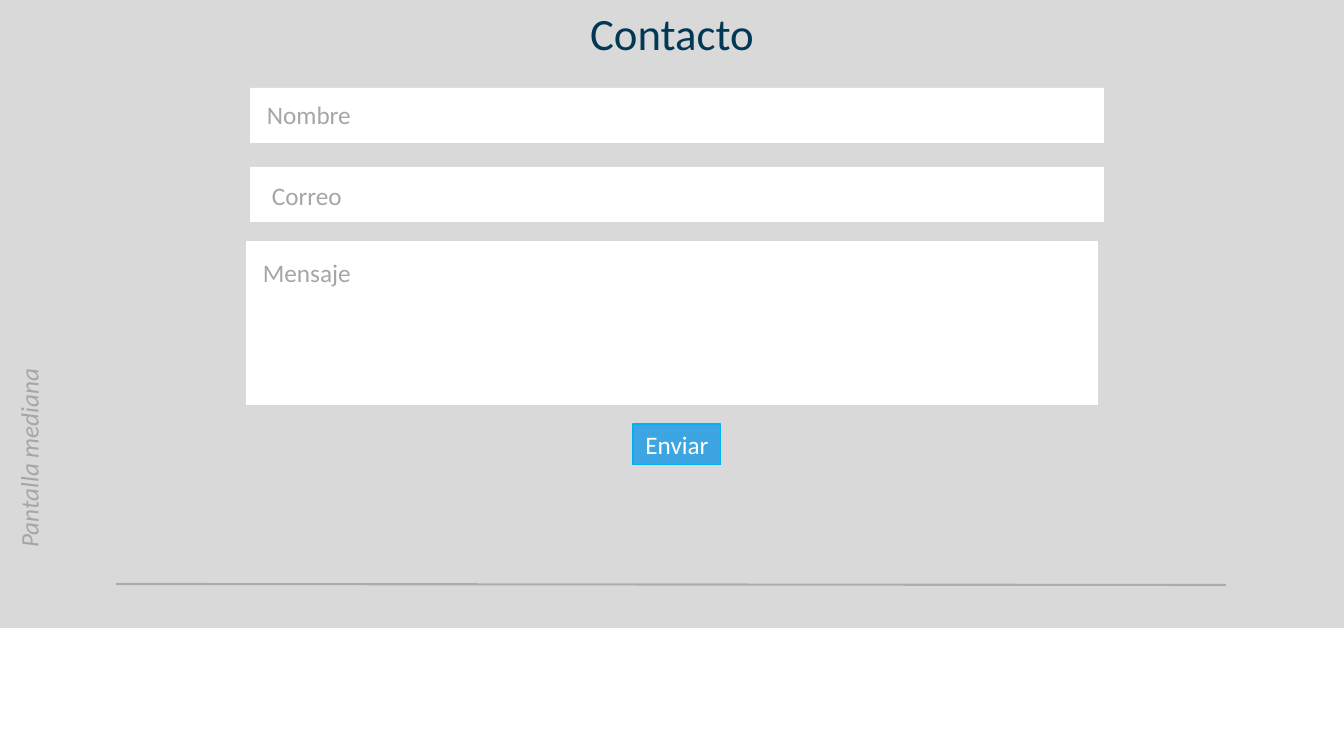
from dataclasses import dataclass

from pptx import Presentation
from pptx.dml.color import RGBColor
from pptx.enum.shapes import MSO_CONNECTOR as Connector, MSO_SHAPE as Preset
from pptx.enum.text import MSO_ANCHOR as Anchor, MSO_AUTO_SIZE as AutoSize, PP_ALIGN as Align
from pptx.oxml.ns import qn
from pptx.shapes.autoshape import Shape
from pptx.slide import Slide
from pptx.util import Emu, Pt
from lxml.etree import SubElement

EMU_PER_PIXEL = 914400 / 100.8
SLIDE_WIDTH, SLIDE_HEIGHT = 1344, 756
FONT = "Calibri"
COLORS = {
    "page": "D9D9D9",
    "white": "FFFFFF",
    "title": "003855",
    "hint": "A6A6A6",
    "button": "3DA5E2",
    "button_edge": "00B0F0",
    "rule": "AFABAB",
}


@dataclass(frozen=True)
class Box:
    """A rectangle in pixels."""
    left: int
    top: int
    width: int
    height: int


@dataclass(frozen=True)
class Field:
    """A form field with its hint text."""
    hint: str
    frame: Box
    label: Box


FIELDS = [
    Field("Nombre", Box(250, 88, 854, 55), Box(257, 94, 122, 40)),
    Field("Correo", Box(250, 167, 854, 55), Box(262, 175, 122, 40)),
    Field("Mensaje", Box(246, 241, 852, 164), Box(253, 252, 251, 40)),
]


def px(pixels: int) -> Emu:
    """Turn pixels into EMU."""
    return Emu(round(pixels * EMU_PER_PIXEL))


def color(name: str) -> RGBColor:
    """Look up a named colour."""
    return RGBColor.from_string(COLORS[name])


def place(box: Box) -> tuple[Emu, Emu, Emu, Emu]:
    """Give a box as left, top, width and height in EMU."""
    return px(box.left), px(box.top), px(box.width), px(box.height)


def add_rectangle(slide: Slide, box: Box, fill: str) -> Shape:
    """Draw a flat rectangle without an outline."""
    shape = slide.shapes.add_shape(Preset.RECTANGLE, *place(box))
    shape.shadow.inherit = False
    shape.fill.solid()
    shape.fill.fore_color.rgb = color(fill)
    shape.line.fill.background()
    return shape


def write(shape: Shape, text: str, ink: str, size: int = 18,
          align: Align = Align.LEFT, italic: bool = False) -> None:
    """Put one formatted paragraph into a shape."""
    frame = shape.text_frame
    frame.word_wrap = True
    frame.auto_size = AutoSize.SHAPE_TO_FIT_TEXT
    frame.vertical_anchor = Anchor.TOP
    paragraph = frame.paragraphs[0]
    paragraph.text = text
    paragraph.alignment = align
    font = paragraph.font
    font.name, font.size, font.italic = FONT, Pt(size), italic
    font.color.rgb = color(ink)


def add_label(slide: Slide, box: Box) -> Shape:
    """Add an empty text box."""
    return slide.shapes.add_textbox(*place(box))


def add_field(slide: Slide, field: Field) -> None:
    """Draw a form field and its hint."""
    add_rectangle(slide, field.frame, "white")
    write(add_label(slide, field.label), field.hint, "hint")


def add_button(slide: Slide, box: Box, text: str) -> None:
    """Draw the outlined send button."""
    button = add_rectangle(slide, box, "button")
    button.line.color.rgb = color("button_edge")
    button.line.width = Pt(0.75)
    write(button, text, "white", align=Align.CENTER)


def add_rule(slide: Slide, start: tuple[int, int], end: tuple[int, int]) -> None:
    """Draw the dividing line."""
    rule = slide.shapes.add_connector(Connector.STRAIGHT, *map(px, start + end))
    rule.line.color.rgb = color("rule")
    rule.line.width = Pt(1.5)
    SubElement(rule.element.spPr, qn("a:effectLst"))


def main() -> None:
    """Build and save the contact form slide."""
    presentation = Presentation()
    presentation.slide_width = px(SLIDE_WIDTH)
    presentation.slide_height = px(SLIDE_HEIGHT)
    slide = presentation.slides.add_slide(presentation.slide_layouts[6])

    add_rectangle(slide, Box(0, 0, SLIDE_WIDTH, SLIDE_HEIGHT), "page")
    title = add_label(slide, Box(0, 1, SLIDE_WIDTH, 64))
    write(title, "Contacto", "title", size=32, align=Align.CENTER)
    for field in FIELDS:
        add_field(slide, field)
    add_button(slide, Box(633, 424, 88, 41), "Enviar")
    add_rule(slide, (116, 584), (1226, 585))
    add_rectangle(slide, Box(0, 628, SLIDE_WIDTH, 128), "white")
    screen_note = add_label(slide, Box(-142, 367, 341, 40))
    screen_note.rotation = 270
    write(screen_note, "Pantalla mediana", "hint", italic=True)

    presentation.save("out.pptx")


main()
